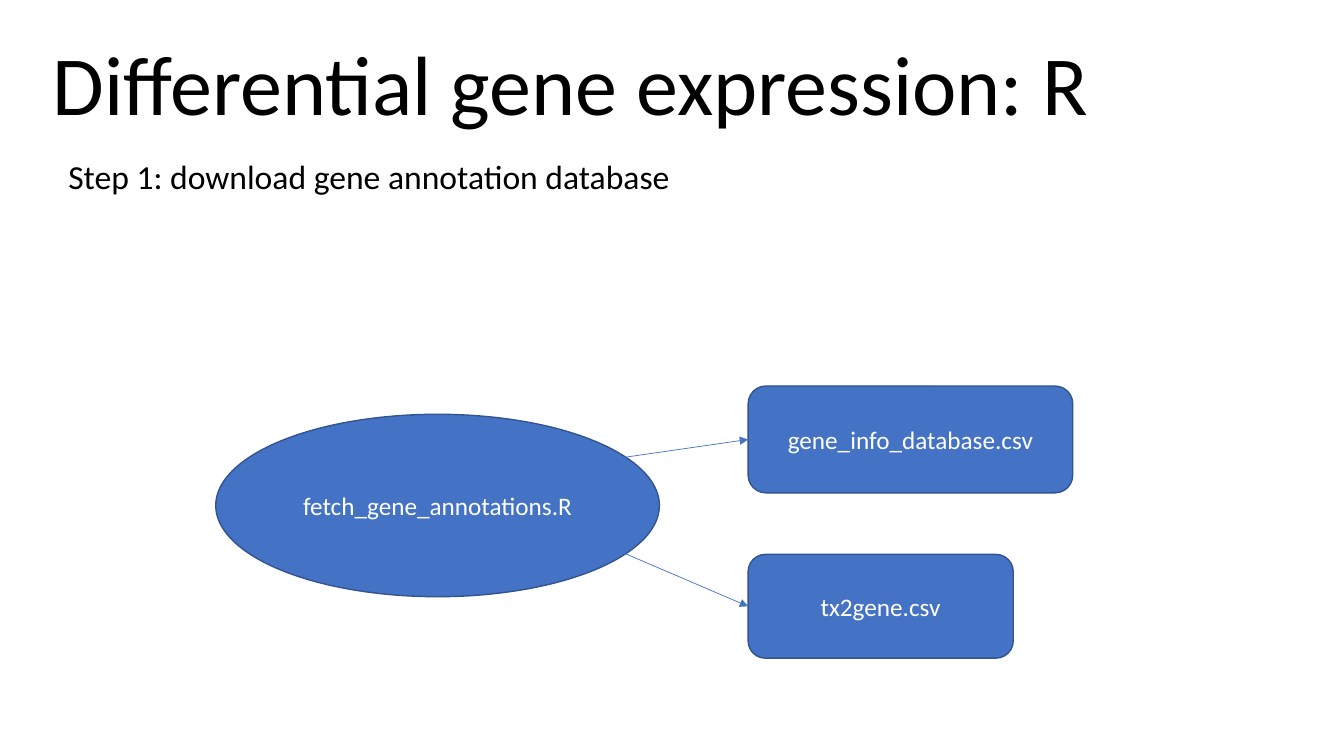
from dataclasses import dataclass

from lxml import etree
from pptx import Presentation
from pptx.dml.color import RGBColor
from pptx.enum.shapes import MSO_CONNECTOR, MSO_SHAPE
from pptx.enum.text import MSO_ANCHOR, PP_ALIGN
from pptx.oxml.ns import qn
from pptx.util import Inches, Pt

OVAL, ROUND = MSO_SHAPE.OVAL, MSO_SHAPE.ROUNDED_RECTANGLE
STRAIGHT = MSO_CONNECTOR.STRAIGHT
TOP, MIDDLE, BOTTOM = MSO_ANCHOR.TOP, MSO_ANCHOR.MIDDLE, MSO_ANCHOR.BOTTOM
CENTER = PP_ALIGN.CENTER
LEFT_SITE = 1


@dataclass(frozen=True)
class Theme:
    """Colours, font and sizes of the slide."""
    font: str = "Calibri"
    ink: str = "000000"
    light: str = "FFFFFF"
    fill: str = "4472C4"
    edge: str = "325491"
    title: int = 60
    step: int = 24
    label: int = 18


THEME = Theme()


def color(code):
    """Turn a hex code into a colour."""
    return RGBColor.from_string(code)


def write(shape, text, size, ink=THEME.ink, anchor=MIDDLE, space=1.0, before=0):
    """Put centred text into a shape."""
    frame = shape.text_frame
    frame.word_wrap = True
    frame.vertical_anchor = anchor
    para = frame.paragraphs[0]
    para.alignment = CENTER
    para.line_spacing = space
    para.space_before = Pt(before)
    run = para.add_run()
    run.text = text
    run.font.name = THEME.font
    run.font.size = Pt(size)
    run.font.color.rgb = color(ink)


def add_node(slide, kind, text, box):
    """Add a filled shape with a label."""
    node = slide.shapes.add_shape(kind, *map(Inches, box))
    node.shadow.inherit = False
    node.fill.solid()
    node.fill.fore_color.rgb = color(THEME.fill)
    node.line.color.rgb = color(THEME.edge)
    node.line.width = Pt(1)
    write(node, text, THEME.label, THEME.light)
    return node


def add_arrow(slide, start, node):
    """Draw an arrow from a point to the left side of a node."""
    x, y = map(Inches, start)
    arrow = slide.shapes.add_connector(STRAIGHT, x, y, x, y)
    arrow.end_connect(node, LEFT_SITE)
    arrow.line.color.rgb = color(THEME.fill)
    arrow.line.width = Pt(0.5)
    etree.SubElement(arrow.line._get_or_add_ln(), qn("a:tailEnd"), type="triangle")
    etree.SubElement(arrow._element.spPr, qn("a:effectLst"))


def add_head(slide, left, top):
    """Add the title and the step line below it."""
    title = slide.shapes.add_textbox(*map(Inches, (left, top, 10.76, 1.08)))
    write(title, "Differential gene expression: R", THEME.title,
          anchor=BOTTOM, space=0.9)
    step = slide.shapes.add_textbox(
        *map(Inches, (left + 0.25, top + 1.24, 6.26, 0.48)))
    write(step, "Step 1: download gene annotation database", THEME.step,
          anchor=TOP, space=0.9, before=10)


def add_flow(slide, left, top):
    """Add the script and the files it makes, joined by arrows."""
    add_node(slide, OVAL, "fetch_gene_annotations.R",
             (left, top + 0.28, 4.4, 1.81))
    files = (
        ("gene_info_database.csv", 0, 3.22, 1.06, (3.41, 0.8)),
        ("tx2gene.csv", 1.67, 2.63, 1.03, (3.52, 1.43)),
    )
    for name, drop, width, height, (dx, dy) in files:
        node = add_node(slide, ROUND, name,
                        (left + 5.28, top + drop, width, height))
        add_arrow(slide, (left + dx, top + dy), node)


def main():
    """Build and save the slide."""
    deck = Presentation()
    deck.slide_width, deck.slide_height = Inches(13.33), Inches(7.5)
    slide = deck.slides.add_slide(deck.slide_layouts[6])
    add_head(slide, 0.28, 0.3)
    add_flow(slide, 2.14, 3.83)
    deck.save("out.pptx")


main()
